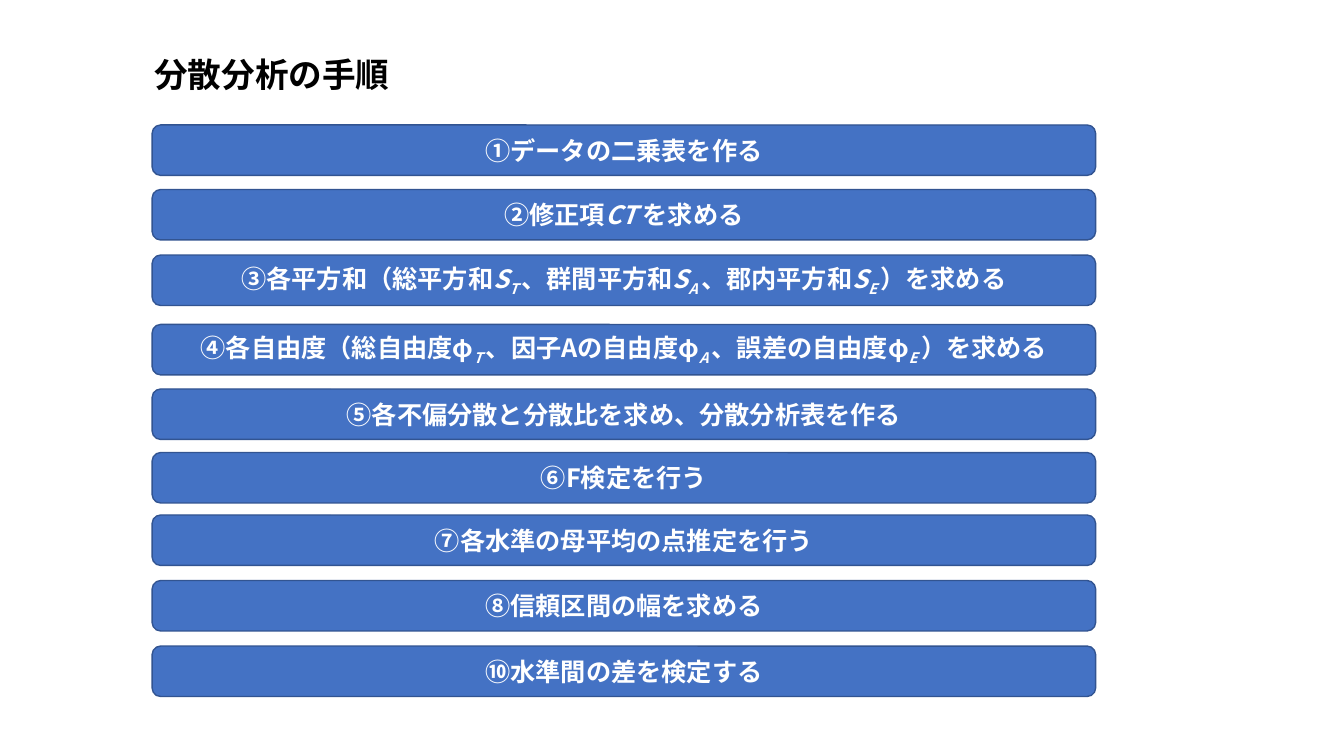
from pptx import Presentation
from pptx.dml.color import RGBColor
from pptx.enum.shapes import MSO_SHAPE
from pptx.enum.text import MSO_ANCHOR, MSO_AUTO_SIZE, PP_ALIGN
from pptx.oxml.ns import qn
from pptx.util import Pt
from lxml import etree

BLACK = RGBColor(0x00, 0x00, 0x00)
WHITE = RGBColor(0xFF, 0xFF, 0xFF)
BLUE = RGBColor(0x44, 0x72, 0xC4)
DARK_BLUE = RGBColor(0x32, 0x54, 0x91)

PLAIN = {"italic": False}
ITALIC = {"italic": True}
SUBSCRIPT = {"italic": True, "baseline": -25000}

STEPS = [
    (89.3, [("①データの二乗表を作る", PLAIN)]),
    (135.4, [("②修正項", PLAIN), ("CT ", ITALIC), ("を求める", PLAIN)]),
    (182.2, [("③各平方和（総平方和", PLAIN), ("S", ITALIC), ("T ", SUBSCRIPT),
             ("、群間平方和", PLAIN), ("S", ITALIC), ("A ", SUBSCRIPT),
             ("、郡内平方和", PLAIN), ("S", ITALIC), ("E ", SUBSCRIPT),
             ("）を求める", PLAIN)]),
    (231.8, [("④各自由度（総自由度φ", PLAIN), ("T ", SUBSCRIPT),
             ("、因子Aの自由度φ", PLAIN), ("A ", SUBSCRIPT),
             ("、誤差の自由度φ", PLAIN), ("E ", SUBSCRIPT),
             ("）を求める", PLAIN)]),
    (277.9, [("⑤各不偏分散と分散比を求め、分散分析表を作る", PLAIN)]),
    (323.3, [("⑥F検定を行う", PLAIN)]),
    (367.9, [("⑦各水準の母平均の点推定を行う", PLAIN)]),
    (414.7, [("⑧信頼区間の幅を求める", PLAIN)]),
    (461.5, [("⑩水準間の差を検定する", PLAIN)]),
]


class ProcedureSlide:
    """Draws the title and step bars of a procedure in one style."""

    font_name = "Noto Sans CJK JP"
    step_left, step_width, step_height = Pt(108.7), Pt(673.9), Pt(36)

    def __init__(self, presentation):
        self.slide = presentation.slides.add_slide(presentation.slide_layouts[5])

    def label(self, frame, pieces, size, color, alignment, anchor):
        frame.word_wrap = True
        frame.vertical_anchor = anchor
        paragraph = frame.paragraphs[0]
        paragraph.alignment = alignment
        for text, style in pieces:
            run = paragraph.add_run()
            run.text = text
            formats = {"name": self.font_name, "size": Pt(size),
                       "bold": True, "italic": style["italic"]}
            for attribute, value in formats.items():
                setattr(run.font, attribute, value)
            run.font.color.rgb = color
            properties = run._r.get_or_add_rPr()
            properties.set("lang", "ja-JP")
            if "baseline" in style:
                properties.set("baseline", str(style["baseline"]))
            etree.SubElement(properties, qn("a:ea"), typeface=self.font_name)

    def title(self, text):
        heading = self.slide.shapes.title
        place = {"left": Pt(103), "top": Pt(34.6), "width": Pt(243.4), "height": Pt(36)}
        for attribute, value in place.items():
            setattr(heading, attribute, value)
        heading.text_frame.auto_size = MSO_AUTO_SIZE.NONE
        self.label(heading.text_frame, [(text, PLAIN)], 24, BLACK,
                   PP_ALIGN.LEFT, MSO_ANCHOR.TOP)

    def step(self, top, pieces):
        bar = self.slide.shapes.add_shape(
            MSO_SHAPE.FLOWCHART_ALTERNATE_PROCESS,
            self.step_left, Pt(top), self.step_width, self.step_height)
        bar.shadow.inherit = False
        bar.fill.solid()
        bar.fill.fore_color.rgb = BLUE
        bar.line.color.rgb = DARK_BLUE
        bar.line.width = Pt(1)
        self.label(bar.text_frame, pieces, 18, WHITE,
                   PP_ALIGN.CENTER, MSO_ANCHOR.MIDDLE)


def main():
    presentation = Presentation()
    presentation.slide_width = Pt(960)
    presentation.slide_height = Pt(540)
    procedure = ProcedureSlide(presentation)
    procedure.title("分散分析の手順")
    for top, pieces in STEPS:
        procedure.step(top, pieces)
    presentation.save("out.pptx")


if __name__ == "__main__":
    main()
